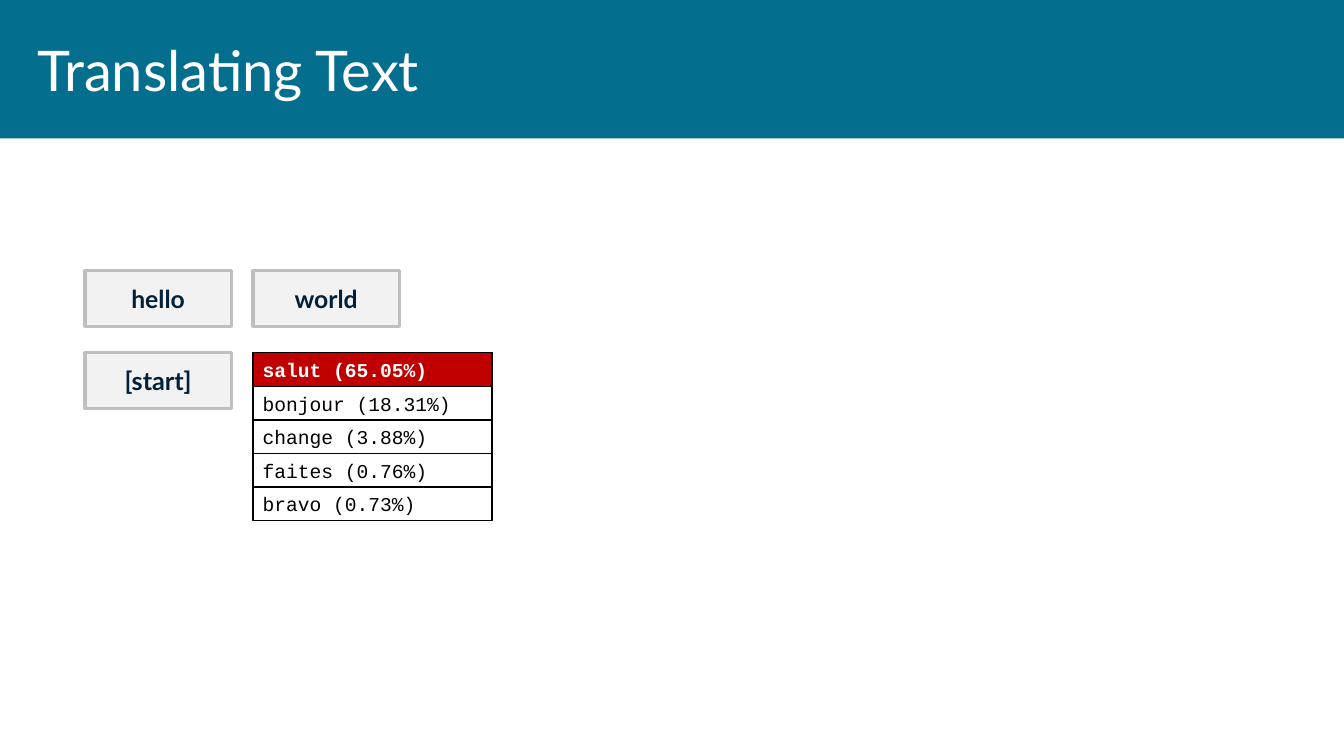
import pptx
import pptx.dml.color
import pptx.enum.shapes
import pptx.enum.text
import pptx.util
from pptx.util import Inches

TOKENS = [
    ("hello", 0.86, 2.74, 18),
    ("world", 2.56, 2.74, 18),
    ("[start]", 0.86, 3.57, 18.4),
]
CANDIDATES = [
    "salut (65.05%)",
    "bonjour (18.31%)",
    "change (3.88%)",
    "faites (0.76%)",
    "bravo (0.73%)",
]
CANDIDATES_LEFT, CANDIDATES_TOP = 2.56, 3.57
CANDIDATE_WIDTH, CANDIDATE_HEIGHT = 2.42, 0.34


def color(hex_string):
    return pptx.dml.color.RGBColor.from_string(hex_string)


def add_box(shapes, left, top, width, height, fill, line=None, line_width=1):
    box = shapes.add_shape(
        pptx.enum.shapes.MSO_SHAPE.RECTANGLE,
        Inches(left), Inches(top), Inches(width), Inches(height),
    )
    box.shadow.inherit = False
    box.fill.solid()
    box.fill.fore_color.rgb = color(fill)
    if line:
        box.line.color.rgb = color(line)
        box.line.width = pptx.util.Pt(line_width)
    else:
        box.line.fill.background()
    return box


def write_text(box, text, font, size, text_color, bold=False, centered=False):
    frame = box.text_frame
    frame.text = text
    frame.word_wrap = True
    frame.vertical_anchor = pptx.enum.text.MSO_ANCHOR.MIDDLE
    para = frame.paragraphs[0]
    alignment = pptx.enum.text.PP_ALIGN
    para.alignment = alignment.CENTER if centered else alignment.LEFT
    span = para.runs[0]
    span.font.name = font
    span.font.size = pptx.util.Pt(size)
    span.font.bold = bold
    span.font.color.rgb = color(text_color)


def add_title(page, text):
    add_box(page.shapes, 0, 0, 13.6, 1.4, "046E8F")
    box = page.shapes.add_textbox(
        Inches(0.28), Inches(0), Inches(13.03), Inches(1.4)
    )
    write_text(box, text, "Lato", 40.8, "FFFFFF")


def add_token(page, text, left, top, size):
    box = add_box(page.shapes, left, top, 1.48, 0.56, "F2F2F2", "BFBFBF", 2.25)
    write_text(box, text, "Lato", size, "002139", bold=True, centered=True)


def add_candidates(page, candidates):
    """Stack the candidate words in one group, with the first one highlighted."""
    group = page.shapes.add_group_shape()
    for index, text in enumerate(candidates):
        chosen = index == 0
        box = add_box(
            group.shapes,
            CANDIDATES_LEFT, CANDIDATES_TOP + index * CANDIDATE_HEIGHT,
            CANDIDATE_WIDTH, CANDIDATE_HEIGHT,
            "C00000" if chosen else "FFFFFF", "000000",
        )
        text_color = "FFFFFF" if chosen else "000000"
        write_text(box, text, "Courier New", 14.3, text_color, bold=chosen)


def main():
    deck = pptx.Presentation()
    deck.slide_width = Inches(13.6)
    deck.slide_height = Inches(7.65)
    page = deck.slides.add_slide(deck.slide_layouts[6])
    add_title(page, "Translating Text")
    for token in TOKENS:
        add_token(page, *token)
    add_candidates(page, CANDIDATES)
    deck.save("out.pptx")


if __name__ == "__main__":
    main()
